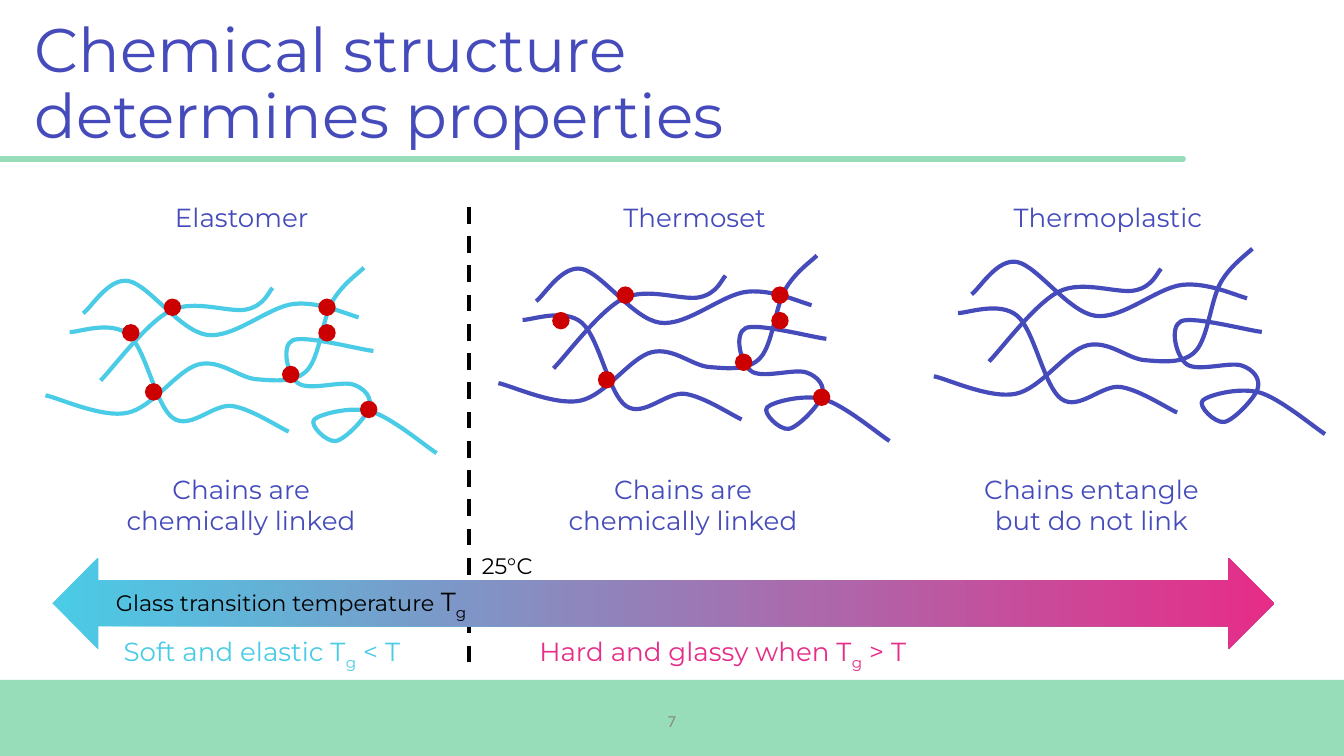
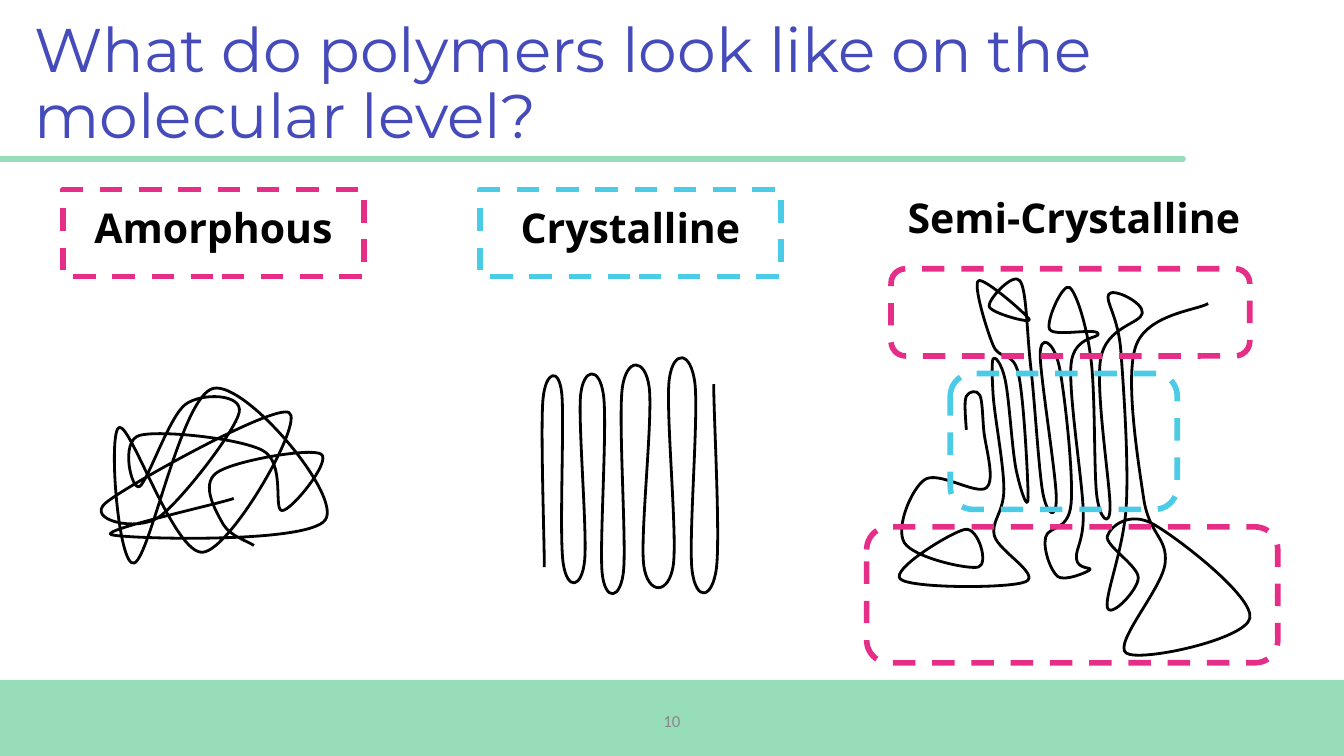
from pptx import Presentation
from pptx.dml.color import RGBColor
from pptx.enum.dml import MSO_LINE
from pptx.enum.shapes import MSO_CONNECTOR, MSO_SHAPE
from pptx.enum.text import MSO_ANCHOR, MSO_AUTO_SIZE, PP_ALIGN
from pptx.oxml.ns import qn
from pptx.util import Cm, Pt

WHITE = RGBColor(0xFF, 0xFF, 0xFF)
BLACK = RGBColor(0, 0, 0)
INDIGO = RGBColor(0x45, 0x4B, 0xBB)
MINT = RGBColor(0x98, 0xDD, 0xBA)
CYAN = RGBColor(0x4A, 0xCB, 0xE6)
PINK = RGBColor(0xE6, 0x2D, 0x88)
RED = RGBColor(0xCC, 0, 0)
GRAY = RGBColor(0x88, 0x88, 0x88)
RECT, ROUNDED = MSO_SHAPE.RECTANGLE, MSO_SHAPE.ROUNDED_RECTANGLE
OVAL, ARROW = MSO_SHAPE.OVAL, MSO_SHAPE.LEFT_RIGHT_ARROW
STRAIGHT, DASH = MSO_CONNECTOR.STRAIGHT, MSO_LINE.DASH
LEFT, CENTER = PP_ALIGN.LEFT, PP_ALIGN.CENTER
TOP, MIDDLE = MSO_ANCHOR.TOP, MSO_ANCHOR.MIDDLE
NO_FIT = MSO_AUTO_SIZE.NONE
SANS, BOLD_SANS, NUMBER_FONT = "Montserrat", "Open Sans", "Calibri"

UNIT = Cm(0.0254)
STRANDS = [
    [(28, 34), (62, 10), (120, 50), (185, 27), (233, 37)],
    [(41, 84), (93, 32), (150, 31), (169, 15)],
    [(237, 0), (213, 26), (195, 76), (157, 83), (114, 72), (61, 108), (0, 95)],
    [(18, 48), (62, 50), (95, 112), (139, 103), (181, 122)],
    [(244, 62), (184, 54), (188, 86), (229, 87), (241, 104), (216, 129),
     (200, 113), (242, 107), (291, 138)],
]
ELASTOMER_LINKS = [(88, 23), (57, 42), (74, 86), (176, 73), (203, 42), (203, 23), (234, 99)]
THERMOSET_LINKS = [(40, y) if x == 57 else (x, y) for x, y in ELASTOMER_LINKS]
AMORPHOUS = [
    (189, 306), (166, 290), (161, 252), (239, 238), (210, 280), (195, 235), (104, 224),
    (104, 262), (138, 201), (178, 207), (118, 285), (79, 274), (215, 207), (151, 311),
    (89, 218), (100, 319), (159, 189), (242, 287), (83, 298), (174, 271)]
CRYSTALLINE = [
    (105, 322), (104, 197), (118, 193), (119, 319), (135, 317), (132, 194), (149, 194),
    (148, 326), (164, 324), (163, 189), (183, 188), (179, 321), (201, 320), (198, 182),
    (217, 185), (215, 325), (233, 323), (231, 186)]
SEMI_CRYSTALLINE = [
    (119, 220), (119, 195), (129, 194), (132, 220), (134, 263), (88, 257), (73, 304),
    (128, 322), (118, 294), (70, 331), (163, 333), (140, 299), (147, 264), (139, 194),
    (139, 167), (148, 183), (156, 249), (165, 270), (158, 179), (139, 157), (128, 109),
    (166, 138), (136, 128), (159, 109), (167, 173), (176, 267), (186, 271), (174, 164),
    (188, 172), (197, 275), (178, 300), (187, 329), (211, 324), (201, 316), (206, 279),
    (197, 171), (217, 148), (181, 145), (196, 114), (212, 169), (216, 268), (226, 277),
    (219, 167), (250, 133), (225, 119), (234, 161), (238, 277), (224, 352), (247, 330),
    (224, 299), (258, 290), (330, 360), (238, 386), (267, 319), (251, 271), (245, 158),
    (299, 126)]


def write(sp, runs, size, color, font=SANS, bold=False, anchor=TOP, inset=(0.19, 0.1)):
    tf = sp.text_frame
    tf.word_wrap = True
    tf.vertical_anchor = anchor
    tf.margin_left = tf.margin_right = Cm(inset[0])
    tf.margin_top = tf.margin_bottom = Cm(inset[1])
    p = tf.paragraphs[0]
    p.alignment = CENTER
    p.font.name, p.font.size, p.font.bold = font, Pt(size), bold
    p.font.color.rgb = color
    for text in runs:
        r = p.add_run()
        r.text = text
        if text == "g":
            r._r.get_or_add_rPr().set("baseline", "-25000")
    return p


def label(s, left, top, width, height, runs, size=14, color=INDIGO, **style):
    sp = s.shapes.add_textbox(Cm(left), Cm(top), Cm(width), Cm(height))
    return write(sp, runs, size, color, **style)


def solid(s, kind, left, top, width, height, color):
    sp = s.shapes.add_shape(kind, Cm(left), Cm(top), Cm(width), Cm(height))
    sp.shadow.inherit = False
    sp.fill.solid()
    sp.fill.fore_color.rgb = color
    sp.line.fill.background()
    return sp


def dashed_box(s, kind, left, top, width, height, color):
    sp = solid(s, kind, left, top, width, height, WHITE)
    sp.fill.background()
    sp.line.color.rgb = color
    sp.line.width = Pt(3)
    sp.line.dash_style = DASH
    return sp


def line(s, x1, y1, x2, y2, color, width):
    c = s.shapes.add_connector(STRAIGHT, Cm(x1), Cm(y1), Cm(x2), Cm(y2))
    c.line.color.rgb = color
    c.line.width = Pt(width)
    spPr = c._element.spPr
    spPr.append(spPr.makeelement(qn("a:effectLst"), {}))
    return c


def handle(point, before, after):
    return [round(a + (c - b) / 6) for a, b, c in zip(point, before, after)]


def chain(s, points, left, top, color, width):
    builder = s.shapes.build_freeform(*points[0], scale=UNIT)
    builder.add_line_segments(points[1:], close=False)
    sp = builder.convert_to_shape(Cm(left), Cm(top))
    sp.shadow.inherit = False
    sp.fill.background()
    sp.line.color.rgb = color
    sp.line.width = Pt(width)
    x0, y0 = (min(values) for values in zip(*points))
    padded = [points[0], *points, points[-1]]
    for i, segment in enumerate(sp._element.findall(".//" + qn("a:lnTo"))):
        before, start, end, after = padded[i:i + 4]
        segment.tag = qn("a:cubicBezTo")
        handles = [handle(start, before, end), handle(end, after, start)]
        for j, (x, y) in enumerate(handles):
            pt = segment.makeelement(qn("a:pt"), {"x": str(x - x0), "y": str(y - y0)})
            segment.insert(j, pt)


def new_slide(prs, title, number):
    s = prs.slides.add_slide(prs.slide_layouts[5])
    s.background.fill.solid()
    s.background.fill.fore_color.rgb = WHITE
    sp = s.shapes.title
    sp.left, sp.top, sp.width, sp.height = Cm(0.46), Cm(0.23), Cm(21.9), Cm(2.77)
    tf = sp.text_frame
    tf.text = title
    tf.word_wrap = True
    tf.auto_size = NO_FIT
    tf.vertical_anchor = MIDDLE
    tf.margin_left = tf.margin_right = Cm(0.19)
    tf.margin_top = tf.margin_bottom = Cm(0.1)
    for p in tf.paragraphs:
        p.alignment = LEFT
        p.line_spacing = 0.9
        p.font.name, p.font.size = SANS, Pt(33)
        p.font.color.rgb = INDIGO
    solid(s, RECT, 0, 12.85, 25.4, 1.44, MINT)
    label(s, 9.84, 13.24, 5.72, 0.76, [number], 9, GRAY, font=NUMBER_FONT, anchor=MIDDLE)
    rule = line(s, 0, 3, 22.36, 3, MINT, 3)
    rule._element.spPr.find(qn("a:ln")).set("cap", "rnd")
    return s


def polymer_panel(s, left, top, drop, color, name, name_box, caption, caption_box, links=()):
    label(s, left + name_box[0], top, name_box[1], 0.78, [name])
    for strand in STRANDS:
        x0, y0 = (min(values) for values in zip(*strand))
        chain(s, strand, left, top + drop, color, 2.25)
    for x, y in links:
        solid(s, OVAL, left + x * 0.0254, top + drop + y * 0.0254, 0.33, 0.33, RED)
    label(s, left + caption_box[0], top + 5.13, caption_box[1], 1.4, [caption])


def temperature_scale(s, left, top):
    line(s, left + 7.87, 3.91, left + 7.87, 12.7, BLACK, 2.25).line.dash_style = DASH
    arrow = solid(s, ARROW, left, top, 23.09, 1.73, CYAN)
    arrow.fill.gradient()
    arrow.fill.gradient_angle = 0
    for stop, color in zip(arrow.fill.gradient_stops, (CYAN, PINK)):
        stop.color.rgb = color
    label(s, left + 0.2, top + 1.37, 7.52, 0.78, ["Soft and elastic T", "g", " < T"], color=CYAN)
    label(s, left + 8.43, top + 1.37, 8.48, 0.78, ["Hard and glassy when T", "g", " > T"], color=PINK)
    p = label(s, left + 0.61, top + 0.43, 7.8, 0.78,
              ["Glass transition temperature ", "T", "g"], 12, BLACK)
    for r in p.runs[1:]:
        r.font.size = Pt(14)
    label(s, left + 6.2, top - 0.2, 4.8, 0.71, ["25°C"], 12, BLACK)


def structure_slide(prs):
    s = new_slide(prs, "Chemical structure\ndetermines properties", "7")
    linked = "Chains are chemically linked"
    polymer_panel(s, 17.65, 3.71, 0.99, INDIGO, "Thermoplastic", (0.89, 4.8),
                  "Chains entangle but do not link", (0.58, 4.8))
    polymer_panel(s, 9.42, 3.71, 1.12, INDIGO, "Thermoset", (1.78, 3.86),
                  linked, (0.86, 5.26), THERMOSET_LINKS)
    polymer_panel(s, 0.86, 3.71, 1.35, CYAN, "Elastomer", (1.78, 3.86),
                  linked, (1.07, 5.26), ELASTOMER_LINKS)
    temperature_scale(s, 0.99, 10.54)


def order_panel(s, left, top, name, color, points, name_left):
    chain(s, points, left, top, BLACK, 1.5)
    sp = dashed_box(s, RECT, left + name_left, top + 1.04, 5.69, 1.65, color)
    write(sp, [name], 22, BLACK, BOLD_SANS, True, inset=(0.25, 0.25))


def semi_crystalline_panel(s, left, top):
    label(s, left + 1.17, top + 0.84, 7.77, 1.65, ["Semi-Crystalline"], 22, BLACK,
          font=BOLD_SANS, bold=True, inset=(0.25, 0.25))
    chain(s, SEMI_CRYSTALLINE, left, top, BLACK, 1.5)
    for x, y, width, height, color in [(2.72, 4.52, 4.29, 2.57, CYAN),
                                       (1.14, 7.42, 7.77, 2.57, PINK),
                                       (1.6, 2.54, 6.78, 1.65, PINK)]:
        dashed_box(s, ROUNDED, left + x, top + y, width, height, color)


def order_slide(prs):
    s = new_slide(prs, "What do polymers look like on the molecular level?", "10")
    order_panel(s, 0, 2.54, "Amorphous", PINK, AMORPHOUS, 1.19)
    order_panel(s, 7.62, 2.54, "Crystalline", CYAN, CRYSTALLINE, 1.45)
    semi_crystalline_panel(s, 15.24, 2.54)


def main():
    prs = Presentation()
    prs.slide_width, prs.slide_height = Cm(25.4), Cm(14.29)
    structure_slide(prs)
    order_slide(prs)
    prs.save("out.pptx")


if __name__ == "__main__":
    main()
